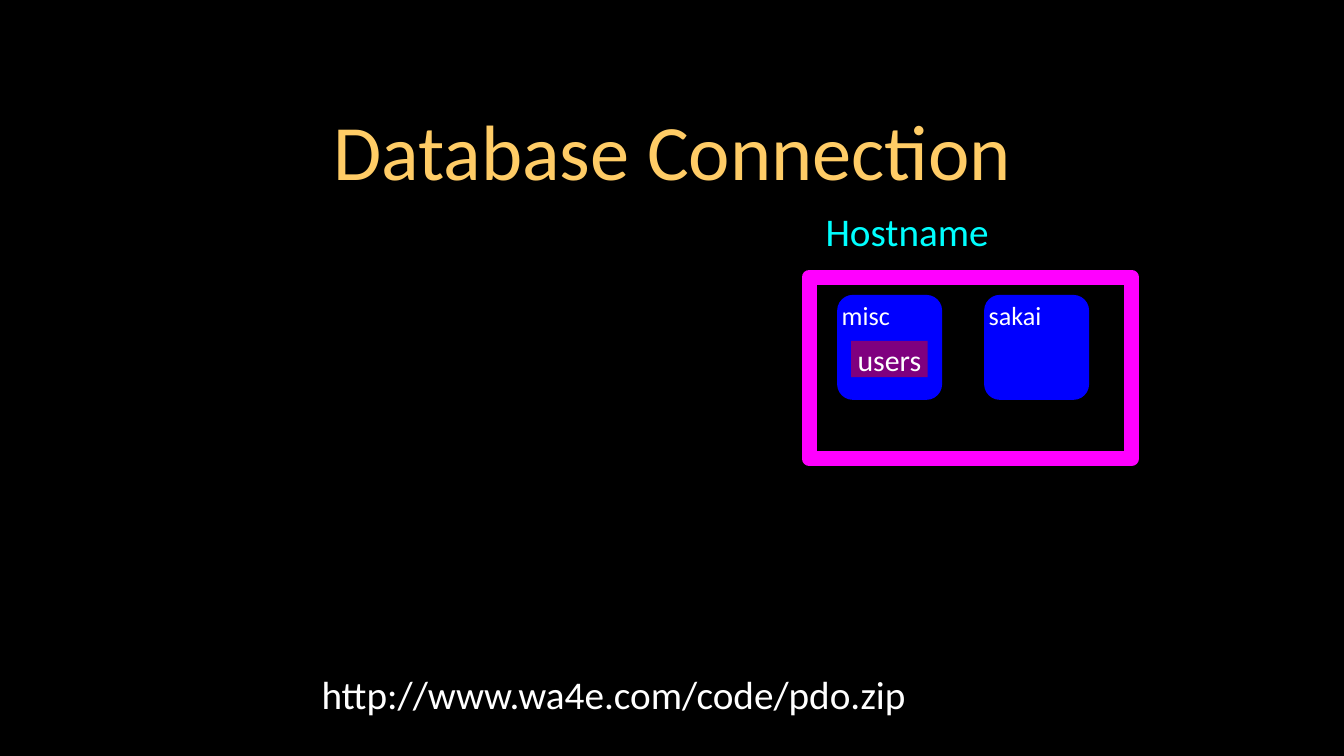
import pptx
import pptx.dml.color
import pptx.enum.shapes
import pptx.enum.text
import pptx.util

Pt = pptx.util.Pt
RGB = pptx.dml.color.RGBColor
Kind = pptx.enum.shapes.MSO_SHAPE
Align = pptx.enum.text.PP_ALIGN
Anchor = pptx.enum.text.MSO_ANCHOR

FONT = "Calibri"
BLACK = RGB(0x00, 0x00, 0x00)
WHITE = RGB(0xFF, 0xFF, 0xFF)
GOLD = RGB(0xFF, 0xCC, 0x66)
CYAN = RGB(0x00, 0xFF, 0xFF)
PINK = RGB(0xFF, 0x00, 0xFF)
BLUE = RGB(0x00, 0x00, 0xFF)
PURPLE = RGB(0x7F, 0x00, 0x7F)


def write(shape, text, size, color, align=Align.CENTER, anchor=Anchor.MIDDLE,
          inset=0, wrap=False):
    frame = shape.text_frame
    frame.word_wrap = wrap
    frame.auto_size = pptx.enum.text.MSO_AUTO_SIZE.NONE
    frame.vertical_anchor = anchor
    frame.margin_left = frame.margin_right = Pt(inset)
    frame.margin_top = frame.margin_bottom = Pt(inset)
    frame.text = text
    line = frame.paragraphs[0]
    line.alignment = align
    line.font.name = FONT
    line.font.size = Pt(size)
    line.font.color.rgb = color


def add_title(slide, box, text):
    title = slide.shapes.title
    title.left, title.top, title.width, title.height = map(Pt, box)
    write(title, text, 42, GOLD, inset=4.5, wrap=True)


def add_label(slide, box, text, color):
    write(slide.shapes.add_textbox(*map(Pt, box)), text, 21, color)


def add_block(slide, kind, box, fill=None):
    block = slide.shapes.add_shape(kind, *map(Pt, box))
    block.shadow.inherit = False
    block.line.fill.background()
    if fill is None:
        block.fill.background()
    else:
        block.fill.solid()
        block.fill.fore_color.rgb = fill
    return block


def add_store(slide, box, name):
    """Draw one database as a rounded square with its name at the top left."""
    store = add_block(slide, Kind.ROUNDED_RECTANGLE, box, BLUE)
    store.adjustments[0] = 0.15
    write(store, name, 14, WHITE, Align.LEFT, Anchor.TOP, wrap=True)


def add_host(slide, box):
    """Draw the server frame, its databases and the table in the first one."""
    left, top, width, height = box
    frame = add_block(slide, Kind.RECTANGLE, box)
    frame.line.color.rgb = PINK
    frame.line.width = Pt(8)

    side, step = 56.25, 78.75
    for i, name in enumerate(("misc", "sakai")):
        add_store(slide, (left + 15 + i * step, top + 9.5, side, side), name)

    table = add_block(slide, Kind.RECTANGLE,
                      (left + 22.5, top + 34.2, 41, 19.4), PURPLE)
    write(table, "users", 16, WHITE)


def main():
    deck = pptx.Presentation()
    deck.slide_width, deck.slide_height = Pt(720), Pt(405)
    slide = deck.slides.add_slide(deck.slide_layouts[5])
    slide.background.fill.solid()
    slide.background.fill.fore_color.rgb = BLACK

    add_title(slide, (67, 47, 586, 65.5), "Database Connection")
    add_label(slide, (435, 111, 102, 25.5), "Hostname", CYAN)
    add_label(slide, (152, 358.75, 353.5, 25.5),
              "http://www.wa4e.com/code/pdo.zip", WHITE)
    add_host(slide, (433.5, 148.5, 172.8, 97.2))
    deck.save("out.pptx")


if __name__ == "__main__":
    main()
